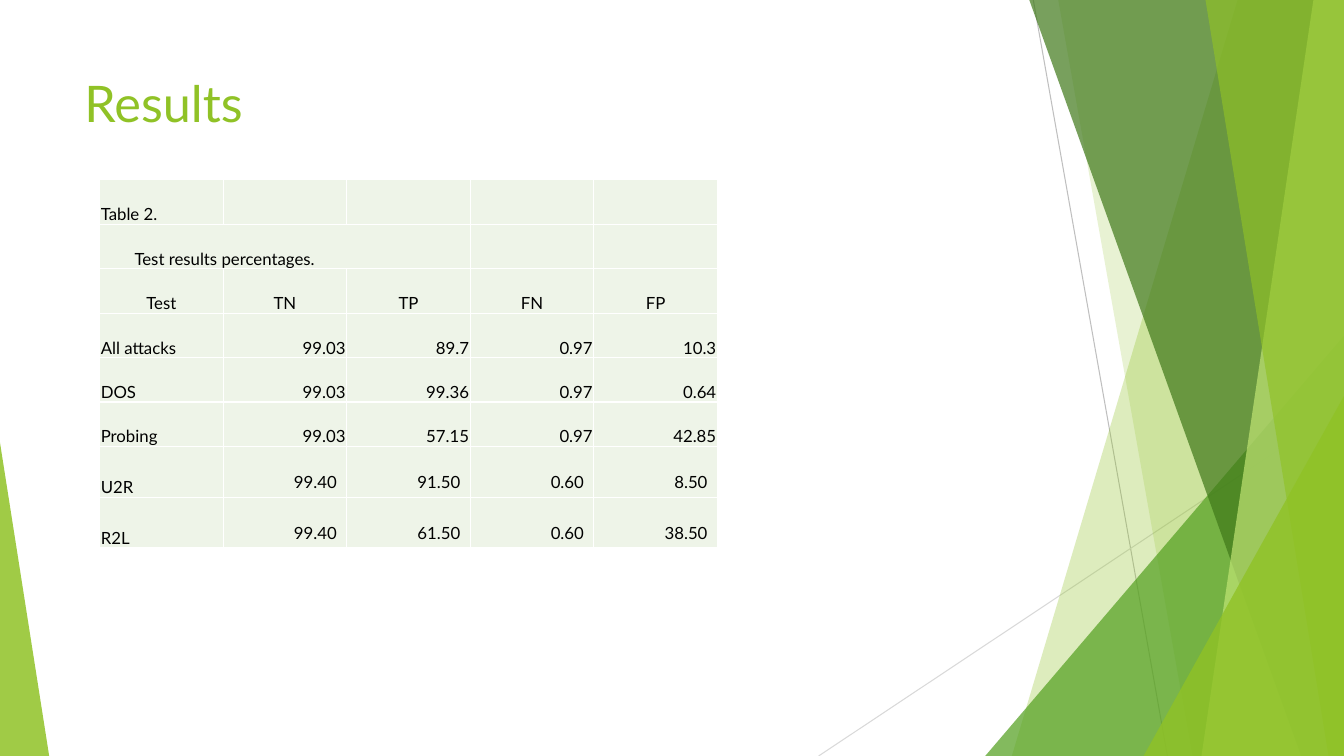
import pptx
import pptx.util
import pptx.dml.color
import pptx.enum.shapes
import pptx.enum.text
import pptx.oxml.ns
import lxml.etree

Cm = pptx.util.Cm
Pt = pptx.util.Pt
ALIGN = pptx.enum.text.PP_ALIGN
ANCHOR = pptx.enum.text.MSO_ANCHOR
FONT = "Lato"
COLORS = {
    "lime": "90C226", "green": "54A021", "forest": "3F7819", "pale": "C0E474",
    "dark line": "BFBFBF", "light line": "D9D9D9",
    "cell": "EEF4E8", "white": "FFFFFF", "black": "000000",
}
RESULTS = [
    ["Table 2.", "", "", "", ""],
    ["Test results percentages.", "", "", "", ""],
    ["Test", "TN", "TP", "FN", "FP"],
    ["All attacks", "99.03", "89.7", "0.97", "10.3"],
    ["DOS", "99.03", "99.36", "0.97", "0.64"],
    ["Probing", "99.03", "57.15", "0.97", "42.85"],
    ["U2R", "99.40", "91.50", "0.60", "8.50"],
    ["R2L", "99.40", "61.50", "0.60", "38.50"],
]
CAPTION_ROW, HEADING_ROW, FIRST_TALL_ROW = 1, 2, 6


def color(name):
    return pptx.dml.color.RGBColor.from_string(COLORS[name])


def add_element(parent, tag, **attributes):
    return lxml.etree.SubElement(parent, pptx.oxml.ns.qn(tag), attributes)


def paint(shape, fill_name, opacity):
    """Fill a shape with a translucent colour, without outline or shadow."""
    shape.shadow.inherit = False
    shape.line.fill.background()
    shape.fill.solid()
    shape.fill.fore_color.rgb = color(fill_name)
    tint = shape.fill._xPr.find(".//" + pptx.oxml.ns.qn("a:srgbClr"))
    add_element(tint, "a:alpha", val=str(opacity * 1000))


def format_text(paragraph, size, color_name, alignment=ALIGN.LEFT):
    paragraph.alignment = alignment
    for run in paragraph.runs:
        run.font.name = FONT
        run.font.size = Pt(size)
        run.font.color.rgb = color(color_name)


def add_line(slide, start, end, color_name):
    connector = slide.shapes.add_connector(
        pptx.enum.shapes.MSO_CONNECTOR.STRAIGHT, *start, *end)
    connector.line.color.rgb = color(color_name)
    connector.line.width = Pt(0.75)
    add_element(connector._element.spPr, "a:effectLst")


def add_panel(slide, right, top, bottom, top_inset, bottom_inset, fill_name, opacity):
    """Full-height panel whose slanted left edge is set by two insets from the right."""
    builder = slide.shapes.build_freeform(right - Cm(top_inset), top)
    builder.add_line_segments(
        [(right, top), (right, bottom), (right - Cm(bottom_inset), bottom)])
    paint(builder.convert_to_shape(), fill_name, opacity)


def add_corner(slide, left, bottom, width, height, apex, fill_name, opacity):
    """Right-angled triangle standing on the bottom edge; apex 0 is left, 1 is right."""
    triangle = slide.shapes.add_shape(
        pptx.enum.shapes.MSO_SHAPE.ISOSCELES_TRIANGLE,
        left, bottom - height, width, height)
    triangle.adjustments[0] = apex
    paint(triangle, fill_name, opacity)


def add_decoration(slide, left, top, width, height):
    right, bottom = left + width, top + height

    # Thin crossing lines
    add_line(slide, (right - Cm(7.83), top), (right - Cm(4.45), bottom), "dark line")
    add_line(slide, (right, top + Cm(10.24)), (right - Cm(13.24), bottom), "light line")

    # Overlapping panels and corners on the right
    def panel(*details):
        add_panel(slide, right, top, bottom, *details)

    def right_corner(corner_width, corner_height, *details):
        add_corner(slide, right - Cm(corner_width), bottom,
                   Cm(corner_width), Cm(corner_height), 1, *details)

    panel(2.68, 8.37, "lime", 30)
    panel(7.2, 3.82, "lime", 20)
    right_corner(9.04, 10.59, "green", 72)
    panel(7.93, 1.08, "forest", 70)
    panel(0.77, 3.59, "pale", 70)
    panel(3.49, 0.39, "lime", 65)
    right_corner(5.05, 9.07, "lime", 80)

    # Left corner
    add_corner(slide, left, bottom, Cm(1.24), Cm(7.9), 0, "lime", 85)


def add_title(slide, left, top, width, height):
    frame = slide.shapes.add_textbox(left, top, width, height).text_frame
    frame.word_wrap = True
    frame.text = "Results"
    format_text(frame.paragraphs[0], 36, "lime")


def style_cell(cell):
    properties = cell._tc.get_or_add_tcPr()
    for side in ("a:lnL", "a:lnR", "a:lnT", "a:lnB"):
        border = add_element(properties, side, w=str(Pt(1)))
        add_element(add_element(border, "a:solidFill"), "a:srgbClr", val=COLORS["white"])
    cell.fill.solid()
    cell.fill.fore_color.rgb = color("cell")
    cell.vertical_anchor = ANCHOR.BOTTOM
    cell.margin_left = cell.margin_right = cell.margin_top = Cm(0.03)
    cell.margin_bottom = 0


def add_results_table(slide, left, top, width, row_height, tall_row_height):
    row_count, column_count = len(RESULTS), len(RESULTS[0])
    table = slide.shapes.add_table(
        row_count, column_count, left, top, width, row_height * row_count).table
    table.first_row = table.horz_banding = False
    for column in table.columns:
        column.width = width // column_count

    for row, values in enumerate(RESULTS):
        is_tall = row >= FIRST_TALL_ROW
        table.rows[row].height = tall_row_height if is_tall else row_height
        for column, value in enumerate(values):
            cell = table.cell(row, column)
            style_cell(cell)
            if is_tall and column > 0:
                cell.margin_right, cell.margin_bottom = Cm(0.25), Cm(0.13)
            if row == HEADING_ROW:
                alignment = ALIGN.CENTER
            else:
                alignment = ALIGN.RIGHT if column > 0 else ALIGN.LEFT
            if value:
                cell.text = value
                format_text(cell.text_frame.paragraphs[0], 12, "black", alignment)

    # Indented caption across three columns
    caption = table.cell(CAPTION_ROW, 0)
    caption.merge(table.cell(CAPTION_ROW, 2))
    caption.margin_left = Cm(0.88)


def main():
    presentation = pptx.Presentation()
    presentation.slide_width, presentation.slide_height = Cm(33.87), Cm(19.05)
    slide = presentation.slides.add_slide(presentation.slide_layouts[6])
    add_decoration(slide, 0, 0, presentation.slide_width, presentation.slide_height)
    add_title(slide, Cm(1.88), Cm(1.7), Cm(23.88), Cm(3.66))
    add_results_table(slide, Cm(2.51), Cm(4.53), Cm(15.57), Cm(1.12), Cm(1.28))
    presentation.save("out.pptx")


if __name__ == "__main__":
    main()
